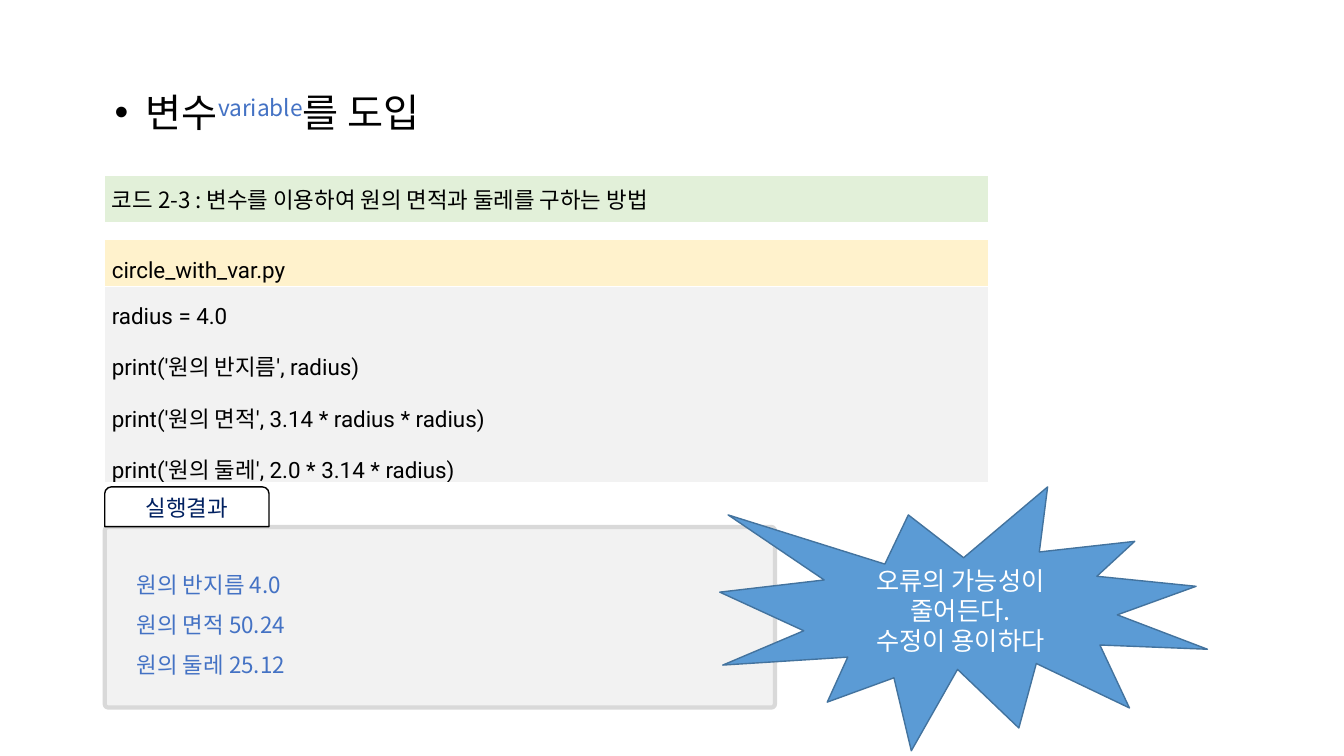
"""Build the slide that introduces variables with a circle example."""
from pptx import Presentation
from pptx.dml.color import RGBColor
from pptx.enum.shapes import MSO_SHAPE
from pptx.enum.text import MSO_ANCHOR, PP_ALIGN
from pptx.oxml.ns import qn
from pptx.util import Cm, Pt

ROUNDED, TAB, SEAL = (MSO_SHAPE.ROUNDED_RECTANGLE, MSO_SHAPE.ROUND_2_SAME_RECTANGLE,
                      MSO_SHAPE.EXPLOSION1)
MIDDLE = MSO_ANCHOR.MIDDLE
LEFT, CENTER, JUSTIFY = PP_ALIGN.LEFT, PP_ALIGN.CENTER, PP_ALIGN.JUSTIFY

BLACK = RGBColor(0x00, 0x00, 0x00)
WHITE = RGBColor(0xFF, 0xFF, 0xFF)
BLUE = RGBColor(0x44, 0x72, 0xC4)
NAVY = RGBColor(0x00, 0x20, 0x60)
GREEN = RGBColor(0xE2, 0xF0, 0xD9)
YELLOW = RGBColor(0xFF, 0xF2, 0xCC)
GRAY = RGBColor(0xF2, 0xF2, 0xF2)
EDGE_GRAY = RGBColor(0xD9, 0xD9, 0xD9)
SEAL_BLUE = RGBColor(0x5B, 0x9B, 0xD5)
SEAL_EDGE = RGBColor(0x43, 0x73, 0x9E)

KOREAN, CODE = "Noto Sans CJK KR", "Roboto"
MARGIN = 2.64

TITLE = [[("변수", KOREAN, BLACK), ("variable", KOREAN, BLUE), ("를 도입", KOREAN, BLACK)]]
CAPTION = "코드 2-3 : 변수를 이용하여 원의 면적과 둘레를 구하는 방법"
FILE_NAME = "circle_with_var.py"
PRINTS = [
    ("원의 반지름", "radius"),
    ("원의 면적", "3.14 * radius * radius"),
    ("원의 둘레", "2.0 * 3.14 * radius"),
]
RESULTS = ["원의 반지름 4.0", "원의 면적 50.24", "원의 둘레 25.12"]
BENEFITS = ["오류의 가능성이 줄어든다.", "수정이 용이하다"]

CODE_LINES = [[("radius = 4.0", CODE, BLACK)]] + [
    [("print('", CODE, BLACK), (label, KOREAN, BLACK), (f"', {value})", CODE, BLACK)]
    for label, value in PRINTS
]
ROWS = [
    (1.19, GREEN, [[(CAPTION, KOREAN, BLACK)]], LEFT, 1.0),
    (0.43, None, [], LEFT, 1.0),
    (1.09, YELLOW, [[(FILE_NAME, CODE, BLACK)]], JUSTIFY, 1.6),
    (4.93, GRAY, CODE_LINES, JUSTIFY, 1.6),
]


def plain(lines, color):
    return [[(line, KOREAN, color)] for line in lines]


def write(frame, lines, size, align=LEFT, spacing=1.0):
    for index, spans in enumerate(lines):
        para = frame.add_paragraph() if index else frame.paragraphs[0]
        para.alignment, para.line_spacing = align, spacing
        for text, face, color in spans:
            span = para.add_run()
            span.text = text
            for name, value in {"size": Pt(size), "name": face}.items():
                setattr(span.font, name, value)
            span.font.color.rgb = color
            east_asian = span.font._element.makeelement(qn("a:ea"), {"typeface": face})
            span.font._element.append(east_asian)


def add_text(page, place, lines, size, spacing=1.0):
    box = page.shapes.add_textbox(*map(Cm, place))
    box.text_frame.word_wrap = True
    write(box.text_frame, lines, size, spacing=spacing)
    return box.text_frame


def add_panel(page, kind, place, fill, edge, width, lines=(), size=16):
    panel = page.shapes.add_shape(kind, *map(Cm, place))
    panel.shadow.inherit = False
    panel.fill.solid()
    panel.fill.fore_color.rgb = fill
    panel.line.color.rgb = edge
    panel.line.width = Pt(width)
    panel.text_frame.word_wrap = True
    panel.text_frame.vertical_anchor = MIDDLE
    write(panel.text_frame, lines, size, CENTER)
    return panel


def add_title(page):
    para = add_text(page, (MARGIN, 2.11, 13.79, 1.45), TITLE, 28).paragraphs[0]
    para.runs[1].font._element.set("baseline", "30000")
    layout = para._p.get_or_add_pPr()
    for name, value in {"marL": Cm(0.79), "indent": Cm(-0.79)}.items():
        layout.set(name, str(int(value)))
    for tag, attributes in (("a:buFont", {"typeface": "Arial"}), ("a:buChar", {"char": "•"})):
        layout.append(layout.makeelement(qn(tag), attributes))


def add_code_table(page):
    heights = [row[0] for row in ROWS]
    place = (MARGIN, 4.42, 22.28, sum(heights))
    table = page.shapes.add_table(len(ROWS), 1, *map(Cm, place)).table
    table.first_row = table.horz_banding = False
    cell_format = {"margin_left": Cm(0.18), "margin_right": Cm(0.18), "margin_top": Cm(0.05),
                   "margin_bottom": Cm(0.05), "vertical_anchor": MIDDLE}
    for index, (height, fill, lines, align, spacing) in enumerate(ROWS):
        table.rows[index].height = Cm(height)
        cell = table.cell(index, 0)
        for name, value in cell_format.items():
            setattr(cell, name, value)
        if fill is None:
            cell.fill.background()
            cell.text_frame.paragraphs[0].font.size = Pt(4)
        else:
            cell.fill.solid()
            cell.fill.fore_color.rgb = fill
        write(cell.text_frame, lines, 16, align, spacing)


def main():
    deck = Presentation()
    deck.slide_width, deck.slide_height = Cm(33.87), Cm(19.05)
    page = deck.slides.add_slide(deck.slide_layouts[6])
    add_title(page)
    add_code_table(page)
    panel = add_panel(page, ROUNDED, (MARGIN, 13.28, 16.89, 4.55), GRAY, EDGE_GRAY, 3)
    panel.adjustments[0] = 0.02
    add_panel(page, TAB, (MARGIN, 12.27, 4.14, 1), WHITE, BLACK, 1, plain(["실행결과"], NAVY))
    add_text(page, (3.2, 13.92, 15.39, 2.79), plain(RESULTS, BLUE), 16, 1.5)
    add_panel(page, SEAL, (18.14, 12.27, 12.29, 6.65), SEAL_BLUE, SEAL_EDGE, 1,
              plain(BENEFITS, WHITE), 18)
    deck.save("out.pptx")


if __name__ == "__main__":
    main()
